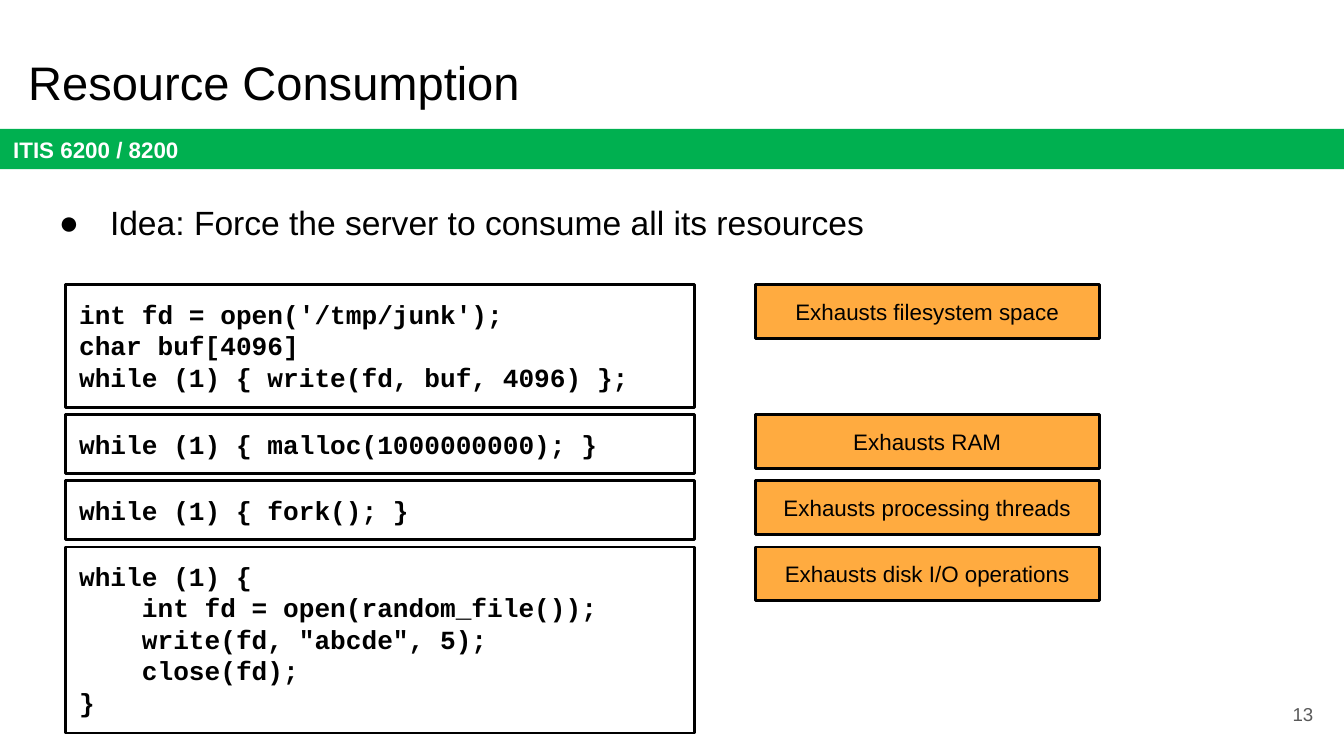
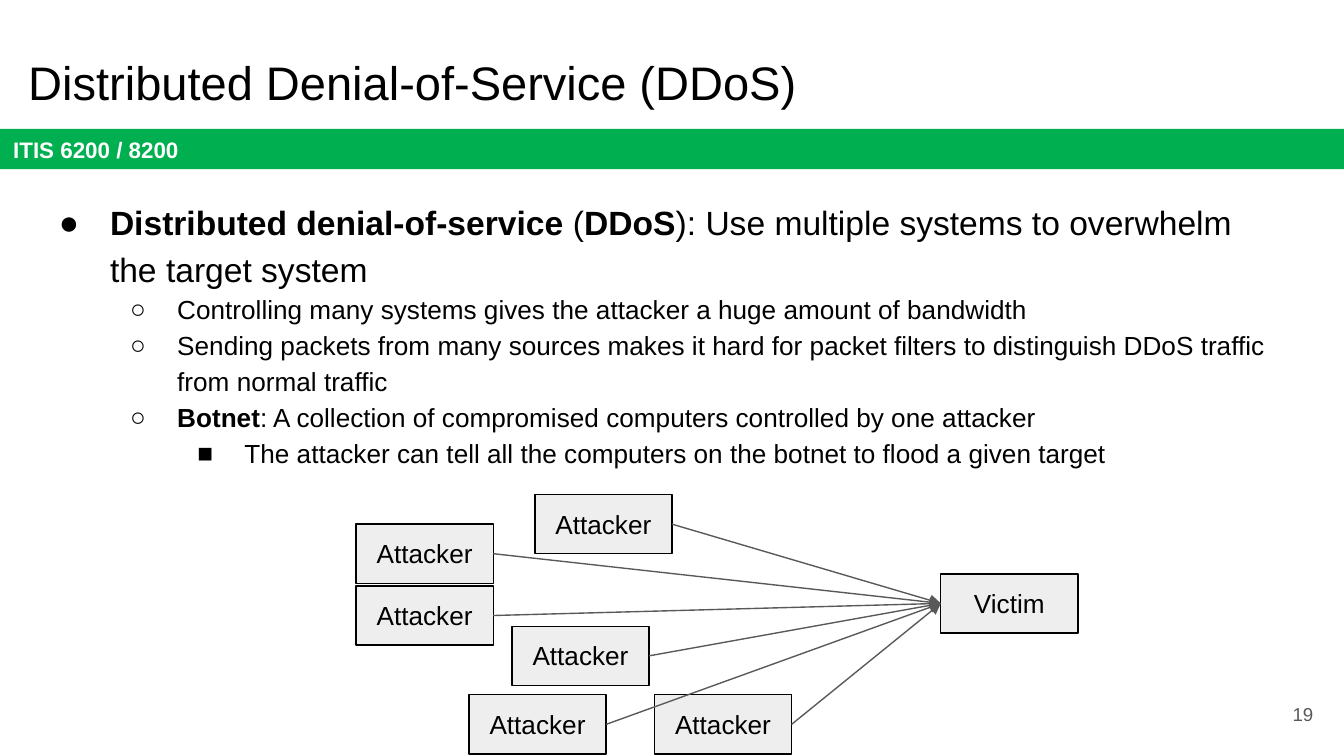
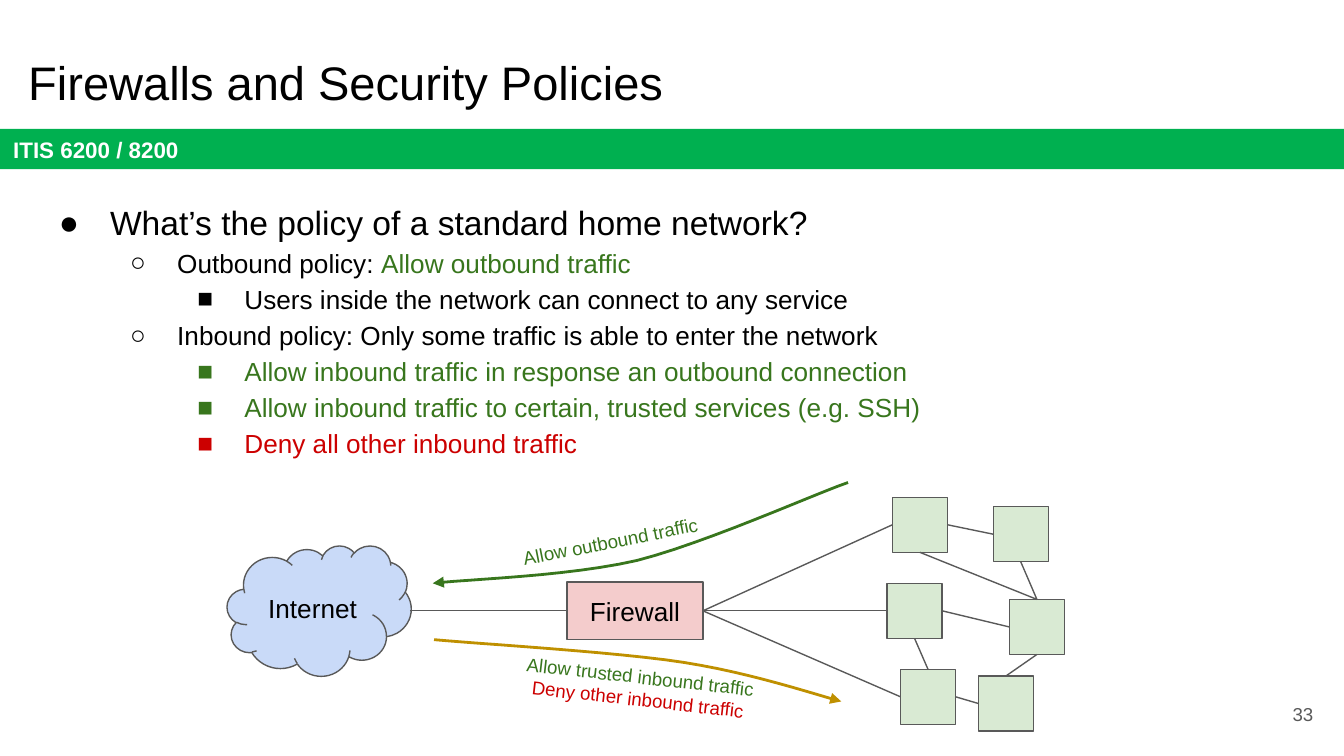
from dataclasses import dataclass
from itertools import pairwise
from typing import NamedTuple

from lxml.etree import SubElement
from pptx import Presentation
from pptx.dml.color import RGBColor
from pptx.enum.shapes import MSO_CONNECTOR, MSO_SHAPE
from pptx.enum.text import MSO_ANCHOR, MSO_AUTO_SIZE, PP_ALIGN
from pptx.oxml.ns import qn
from pptx.util import Emu, Inches, Pt

SLIDE_WIDTH = Inches(10)
SLIDE_HEIGHT = Inches(5.625)
COLUMNS = 100  # the grid is square: rows are as high as columns are wide
INSET = 1
TOP, LEFT, BOTTOM, RIGHT = range(4)  # connection sites of a rectangle


@dataclass(frozen=True)
class Theme:
    sans: str = "Arial"
    mono: str = "Courier New"
    ink: str = "000000"
    paper: str = "FFFFFF"
    band: str = "00B050"
    grey: str = "595959"
    effect: str = "FFAB40"
    host: str = "EEEEEE"
    cloud: str = "C9DAF8"
    firewall: str = "F4CCCC"
    device: str = "D9EAD3"
    allow: str = "38761D"
    deny: str = "CC0000"
    inbound: str = "BF9000"
    title_size: float = 25.2
    lead_size: float = 18
    text_size: float = 14
    label_size: float = 12
    small_size: float = 10
    thin: float = 0.75
    thick: float = 1.5


THEME = Theme()


class Frame(NamedTuple):
    """Left, top, width and height in grid cells."""
    left: float
    top: float
    width: float
    height: float

    def emu(self) -> list[Emu]:
        return [cells(length) for length in self]


class Span(NamedTuple):
    text: str
    bold: bool = False
    color: str | None = None


class Level(NamedTuple):
    bullet: str
    margin: float
    hanging: float
    size: float


class Style(NamedTuple):
    size: float = THEME.text_size
    color: str = THEME.ink
    bold: bool = False
    font: str = THEME.sans
    align: PP_ALIGN = PP_ALIGN.CENTER
    anchor: MSO_ANCHOR = MSO_ANCHOR.TOP
    grow: bool = False


class Look(NamedTuple):
    fill: str
    line: str | None = None
    weight: float = THEME.thin


@dataclass(frozen=True)
class Bullet:
    level: int
    spans: tuple[Span, ...]
    color: str = THEME.ink


class Snippet(NamedTuple):
    code: str
    effect: str


class Link(NamedTuple):
    start: str
    start_site: int
    end: str
    end_site: int


LEVELS = (
    Level("●", 5, 3.8, THEME.lead_size),
    Level("○", 10, 3.5, THEME.text_size),
    Level("■", 15, 3.5, THEME.text_size),
)

TITLE_FRAME = Frame(1.1, 3, 93.2, 6.3)
BAND_FRAME = Frame(0, 9.6, COLUMNS, 3)
BODY_FRAME = Frame(2.2, 13.6, 93.2, 41.2)
NUMBER_FRAME = Frame(92.7, 51, 6, 4.3)

TITLE_STYLE = Style(THEME.title_size, align=PP_ALIGN.LEFT)
BAND_STYLE = Style(THEME.label_size, THEME.paper, True,
                   align=PP_ALIGN.LEFT, anchor=MSO_ANCHOR.MIDDLE)
NUMBER_STYLE = Style(THEME.small_size, THEME.grey,
                     align=PP_ALIGN.RIGHT, anchor=MSO_ANCHOR.MIDDLE)
CODE_STYLE = Style(bold=True, font=THEME.mono, align=PP_ALIGN.LEFT, grow=True)
EFFECT_STYLE = Style(THEME.label_size, grow=True)
HOST_STYLE = Style(grow=True)
NODE_STYLE = Style(anchor=MSO_ANCHOR.MIDDLE)
FLOW_STYLE = Style(THEME.small_size, grow=True)


def cells(count: float) -> Emu:
    return Emu(round(count * SLIDE_WIDTH / COLUMNS))


def color_of(code: str) -> RGBColor:
    return RGBColor.from_string(code)


def format_frame(box, style: Style) -> None:
    frame = box.text_frame
    frame.word_wrap = True
    frame.auto_size = MSO_AUTO_SIZE.SHAPE_TO_FIT_TEXT if style.grow else MSO_AUTO_SIZE.NONE
    frame.vertical_anchor = style.anchor
    frame.margin_left = frame.margin_right = cells(INSET)
    frame.margin_top = frame.margin_bottom = cells(INSET)


def format_font(font, style: Style, color: str) -> None:
    font.name = style.font
    font.size = Pt(style.size)
    font.bold = style.bold
    font.color.rgb = color_of(color)


def write(box, text: str, style: Style, colors: tuple[str, ...] = ()) -> None:
    """Fill a box with one paragraph per line, each line in its own colour if given."""
    format_frame(box, style)
    box.text_frame.text = text
    for index, para in enumerate(box.text_frame.paragraphs):
        para.alignment = style.align
        format_font(para.font, style, colors[index] if colors else style.color)


def add_box(shapes, frame: Frame, look: Look, text: str = "",
            style: Style = NODE_STYLE, kind: MSO_SHAPE = MSO_SHAPE.RECTANGLE):
    box = shapes.add_shape(kind, *frame.emu())
    box.shadow.inherit = False
    box.fill.solid()
    box.fill.fore_color.rgb = color_of(look.fill)
    if look.line:
        format_line(box, look.line, look.weight)
    else:
        box.line.fill.background()
    if text:
        write(box, text, style)
    return box


def add_label(shapes, frame: Frame, text: str, style: Style,
              colors: tuple[str, ...] = (), rotation: float = 0) -> None:
    label = shapes.add_textbox(*frame.emu())
    write(label, text, style, colors)
    label.rotation = rotation


def format_line(shape, color: str, weight: float, arrow: bool = False) -> None:
    shape.line.color.rgb = color_of(color)
    shape.line.width = Pt(weight)
    if arrow:
        SubElement(shape.element.spPr.find(qn("a:ln")), qn("a:tailEnd"), type="triangle")


def add_line(shapes, arrow: bool = False):
    line = shapes.add_connector(MSO_CONNECTOR.STRAIGHT, 0, 0, 0, 0)
    format_line(line, THEME.grey, THEME.thin, arrow)
    SubElement(line.element.spPr, qn("a:effectLst"))
    return line


def join(shapes, start, start_site: int, end, end_site: int, arrow: bool = False) -> None:
    line = add_line(shapes, arrow)
    line.begin_connect(start, start_site)
    line.end_connect(end, end_site)


def bezier_points(knots: list[tuple[float, float]], steps: int = 12) -> list[tuple[Emu, Emu]]:
    """Sample a chain of cubic curves given as start, then three knots per curve."""
    points = []
    for first in range(0, len(knots) - 1, 3):
        curve = knots[first:first + 4]
        for step in range(1, steps + 1):
            t = step / steps
            weights = ((1 - t) ** 3, 3 * t * (1 - t) ** 2, 3 * t * t * (1 - t), t ** 3)
            points.append(tuple(
                cells(sum(weight * knot[axis] for weight, knot in zip(weights, curve)))
                for axis in (0, 1)))
    return points


def add_curve(shapes, knots: list[tuple[float, float]], color: str) -> None:
    start_x, start_y = knots[0]
    builder = shapes.build_freeform(cells(start_x), cells(start_y))
    builder.add_line_segments(bezier_points(knots), close=False)
    curve = builder.convert_to_shape()
    curve.shadow.inherit = False
    curve.fill.background()
    format_line(curve, color, THEME.thick, arrow=True)


def add_bullets(page, bullets: list[Bullet], height: float = BODY_FRAME.height) -> None:
    body = page.shapes.add_textbox(*BODY_FRAME._replace(height=height).emu())
    format_frame(body, Style())
    for index, bullet in enumerate(bullets):
        frame = body.text_frame
        para = frame.add_paragraph() if index else frame.paragraphs[0]
        level = LEVELS[bullet.level]
        para.level = bullet.level
        para.line_spacing = 1.15
        properties = para._p.get_or_add_pPr()
        properties.set("marL", str(cells(level.margin)))
        properties.set("indent", str(-cells(level.hanging)))
        tint = SubElement(properties, qn("a:buClr"))
        SubElement(tint, qn("a:srgbClr"), val=bullet.color)
        SubElement(properties, qn("a:buFont"), typeface=THEME.sans)
        SubElement(properties, qn("a:buChar"), char=level.bullet)
        format_font(para.font, Style(level.size), bullet.color)
        for text, bold, color in bullet.spans:
            span = para.add_run()
            span.text = text
            if bold:
                span.font.bold = True
            if color:
                span.font.color.rgb = color_of(color)


def add_page(deck, title: str, number: int):
    """Add a slide with its title, course band and page number."""
    page = deck.slides.add_slide(deck.slide_layouts[5])
    heading = page.shapes.title
    heading.left, heading.top, heading.width, heading.height = TITLE_FRAME.emu()
    write(heading, title, TITLE_STYLE)
    add_box(page.shapes, BAND_FRAME, Look(THEME.band), "ITIS 6200 / 8200", BAND_STYLE)
    add_label(page.shapes, NUMBER_FRAME, str(number), NUMBER_STYLE)
    return page


def build_resources(deck) -> None:
    page = add_page(deck, "Resource Consumption", 13)
    add_bullets(page, [
        Bullet(0, (Span("Idea: Force the server to consume all its resources"),)),
    ], height=9.5)
    snippets = [
        Snippet("int fd = open('/tmp/junk');\n"
                "char buf[4096]\n"
                "while (1) { write(fd, buf, 4096) };", "Exhausts filesystem space"),
        Snippet("while (1) { malloc(1000000000); }", "Exhausts RAM"),
        Snippet("while (1) { fork(); }", "Exhausts processing threads"),
        Snippet("while (1) {\n"
                "    int fd = open(random_file());\n"
                "    write(fd, \"abcde\", 5);\n"
                "    close(fd);\n"
                "}", "Exhausts disk I/O operations"),
    ]
    top, gap, line_height = 21.2, 0.55, 2.37
    for code, effect in snippets:
        height = 2 * INSET + line_height * len(code.splitlines())
        add_box(page.shapes, Frame(4.9, top, 46.8, height),
                Look(THEME.paper, THEME.ink, THEME.thick), code, CODE_STYLE)
        add_box(page.shapes, Frame(56.2, top, 25.6, 4),
                Look(THEME.effect, THEME.ink, THEME.thick), effect, EFFECT_STYLE)
        top += height + gap


def build_ddos(deck) -> None:
    page = add_page(deck, "Distributed Denial-of-Service (DDoS)", 19)
    add_bullets(page, [
        Bullet(0, (Span("Distributed denial-of-service", True), Span(" ("), Span("DDoS", True),
                   Span("): Use multiple systems to overwhelm the target system"))),
        Bullet(1, (Span("Controlling many systems gives the attacker a huge amount "
                        "of bandwidth"),)),
        Bullet(1, (Span("Sending packets from many sources makes it hard for packet filters "
                        "to distinguish DDoS traffic from normal traffic"),)),
        Bullet(1, (Span("Botnet", True),
                   Span(": A collection of compromised computers controlled by one attacker"))),
        Bullet(2, (Span("The attacker can tell all the computers on the botnet to flood "
                        "a given target"),)),
    ])

    def add_host(name: str, left: float, top: float):
        return add_box(page.shapes, Frame(left, top, 10.2, 4.4),
                       Look(THEME.host, THEME.ink), name, HOST_STYLE)

    victim = add_host("Victim", 70, 42.7)
    places = [(26.5, 39), (26.5, 43.6), (39.8, 36.8), (48.7, 51.7), (34.9, 51.7), (38.1, 46.6)]
    attackers = [add_host("Attacker", left, top) for left, top in places]
    for attacker in attackers:
        join(page.shapes, attacker, RIGHT, victim, LEFT, arrow=True)


def build_firewalls(deck) -> None:
    page = add_page(deck, "Firewalls and Security Policies", 33)
    add_bullets(page, [
        Bullet(0, (Span("What’s the policy of a standard home network?"),)),
        Bullet(1, (Span("Outbound policy: "),
                   Span("Allow outbound traffic", color=THEME.allow))),
        Bullet(2, (Span("Users inside the network can connect to any service"),)),
        Bullet(1, (Span("Inbound policy: Only some traffic is able to enter the network"),)),
        Bullet(2, (Span("Allow inbound traffic in response an outbound connection"),),
               THEME.allow),
        Bullet(2, (Span("Allow inbound traffic to certain, trusted services (e.g. SSH)"),),
               THEME.allow),
        Bullet(2, (Span("Deny all other inbound traffic"),), THEME.deny),
    ])
    shapes = page.shapes
    add_box(shapes, Frame(16.9, 40.6, 13.7, 9.7), Look(THEME.cloud, THEME.grey),
            "Internet", kind=MSO_SHAPE.CLOUD)
    places = {
        "near top": (66.4, 37), "near middle": (66, 43.4), "near bottom": (67, 49.8),
        "far top": (73.9, 37.7), "far middle": (75.1, 44.6), "far bottom": (72.8, 50.3),
    }
    nodes = {name: add_box(shapes, Frame(left, top, 4.1, 4.1), Look(THEME.device, THEME.grey))
             for name, (left, top) in places.items()}
    firewall = add_box(shapes, Frame(42.2, 43.3, 10.1, 4.3),
                       Look(THEME.firewall, THEME.grey), "Firewall")
    nodes["firewall"] = firewall

    uplink = add_line(shapes)
    uplink.begin_x, uplink.begin_y = cells(30.5), cells(45.45)
    uplink.end_connect(firewall, LEFT)
    links = [
        Link("firewall", RIGHT, "near top", LEFT),
        Link("firewall", RIGHT, "near middle", LEFT),
        Link("firewall", RIGHT, "near bottom", LEFT),
        Link("near top", RIGHT, "far top", LEFT),
        Link("near middle", RIGHT, "far middle", LEFT),
        Link("near bottom", RIGHT, "far bottom", LEFT),
        Link("near bottom", TOP, "near middle", BOTTOM),
        Link("far bottom", TOP, "far middle", BOTTOM),
        Link("far middle", TOP, "far top", BOTTOM),
        Link("far middle", TOP, "near top", BOTTOM),
    ]
    for link in links:
        join(shapes, nodes[link.start], link.start_site, nodes[link.end], link.end_site)

    outbound = shapes.add_group_shape().shapes
    add_curve(outbound, [(63.1, 35.9), (60.5, 36.8), (52.5, 40.4), (47.4, 41.7),
                         (42.2, 42.9), (34.7, 43.1), (32.2, 43.4)], THEME.allow)
    add_label(outbound, Frame(37.3, 38.6, 16.3, 3.7), "Allow outbound traffic",
              FLOW_STYLE, (THEME.allow,), rotation=-11.2)
    inbound = shapes.add_group_shape().shapes
    add_curve(inbound, [(32.3, 47.6), (35.4, 47.9), (45.8, 48.5), (50.9, 49.3),
                        (56, 50.1), (60.7, 51.7), (62.6, 52.2)], THEME.inbound)
    add_label(inbound, Frame(37.5, 48.5, 20.1, 5.4),
              "Allow trusted inbound traffic\nDeny other inbound traffic",
              FLOW_STYLE, (THEME.allow, THEME.deny), rotation=6.4)


def main() -> None:
    deck = Presentation()
    deck.slide_width, deck.slide_height = SLIDE_WIDTH, SLIDE_HEIGHT
    for build in (build_resources, build_ddos, build_firewalls):
        build(deck)
    deck.save("out.pptx")


if __name__ == "__main__":
    main()
